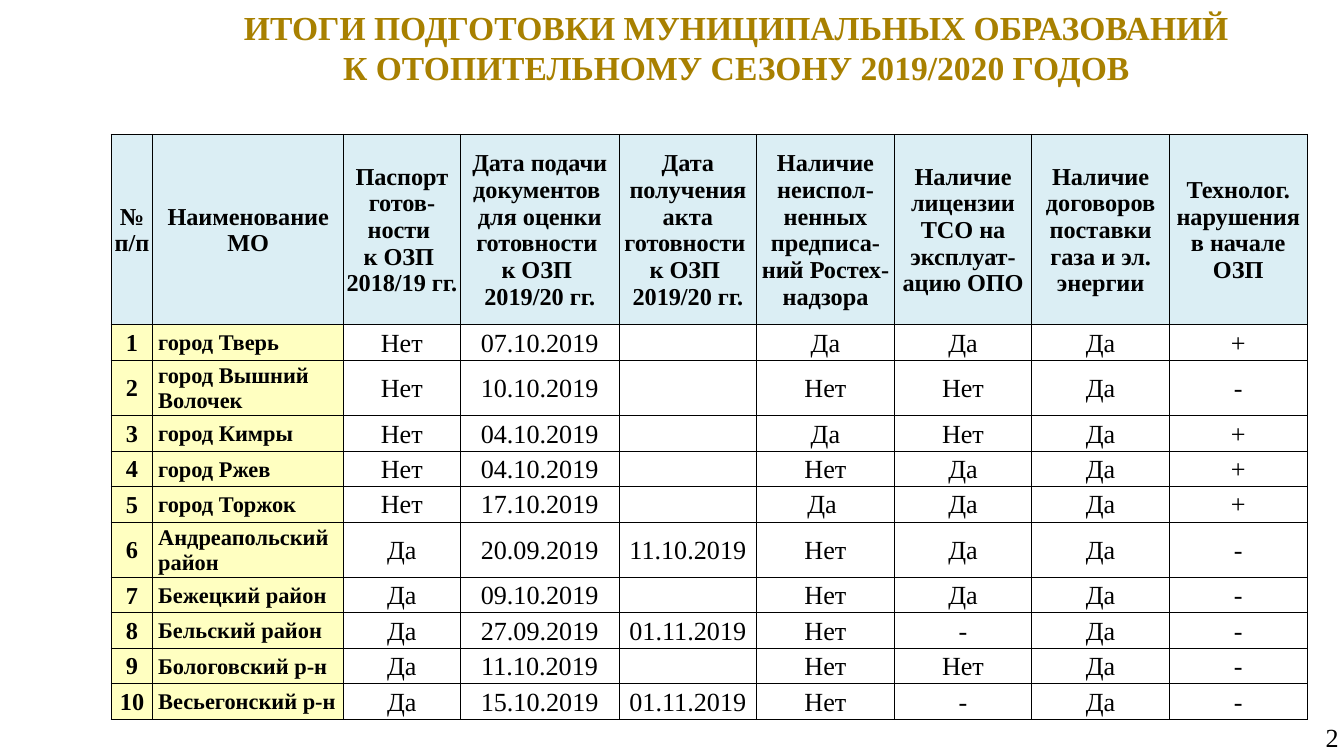
from copy import deepcopy

from lxml import etree
from pptx import Presentation
from pptx import util as u
from pptx.dml.color import RGBColor
from pptx.enum import text as t
from pptx.oxml import ns

FONT = "Times New Roman"
COLOURS = {"title": "A88000", "text": "000000", "header": "DBEEF4", "town": "FFFFC1"}

TITLE = ("ИТОГИ ПОДГОТОВКИ МУНИЦИПАЛЬНЫХ ОБРАЗОВАНИЙ\n"
         "К ОТОПИТЕЛЬНОМУ СЕЗОНУ 2019/2020 ГОДОВ")
PAGE_NUMBER = "2"

# In a heading, \v breaks a line and \n starts a paragraph.
HEADINGS = (
    "№ п/п",
    "Наименование МО",
    "Паспорт готов-ности \vк ОЗП \v2018/19 гг.",
    "Дата подачи документов \vдля оценки готовности \vк ОЗП \v2019/20 гг.",
    "Дата получения акта готовности \nк ОЗП \v2019/20 гг.",
    "Наличие неиспол-ненных предписа-ний Ростех-надзора",
    "Наличие лицензии ТСО на эксплуат-ацию ОПО",
    "Наличие договоров поставки газа и эл. энергии",
    "Технолог. нарушения в начале ОЗП",
)
# Town, passport, application date, act date, orders, licence, contracts, violations
TOWNS = (
    ("город Тверь", "Нет", "07.10.2019", "", "Да", "Да", "Да", "+"),
    ("город Вышний Волочек", "Нет", "10.10.2019", "", "Нет", "Нет", "Да", "-"),
    ("город Кимры", "Нет", "04.10.2019", "", "Да", "Нет", "Да", "+"),
    ("город Ржев", "Нет", "04.10.2019", "", "Нет", "Да", "Да", "+"),
    ("город Торжок", "Нет", "17.10.2019", "", "Да ", "Да", "Да", "+"),
    ("Андреапольский район", "Да", "20.09.2019", "11.10.2019", "Нет", "Да", "Да", "-"),
    ("Бежецкий район", "Да", "09.10.2019", "", "Нет", "Да", "Да", "-"),
    ("Бельский район", "Да", "27.09.2019", "01.11.2019", "Нет", "-", "Да", "-"),
    ("Бологовский р-н", "Да", "11.10.2019", "", "Нет", "Нет", "Да", "-"),
    ("Весьегонский р-н", "Да", "15.10.2019", "01.11.2019", "Нет", "-", "Да", "-"),
)
COLUMN_WIDTHS = [0.79, 3.6, 2.21, 3] + [2.6] * 5
HEADER_HEIGHT, ROW_HEIGHT = 3.6, 0.67


def write(frame, words, size, align, bold=False, colour="text"):
    frame.text = words
    for paragraph in frame.paragraphs:
        paragraph.alignment = align
        for run in paragraph.runs:
            run.font.name = FONT
            run.font.size = u.Pt(size)
            run.font.bold = bold
            run.font.color.rgb = RGBColor.from_string(COLOURS[colour])
        if paragraph.runs:
            for line_break in paragraph._p.findall(ns.qn("a:br")):
                line_break.append(deepcopy(paragraph.runs[0].font._rPr))
        else:  # keeps an empty cell from stretching its row
            etree.SubElement(paragraph._p, ns.qn("a:endParaRPr"), sz=str(size * 100))


def set_margins(part, left, top, right, bottom):
    part.margin_left, part.margin_top = u.Cm(left), u.Cm(top)
    part.margin_right, part.margin_bottom = u.Cm(right), u.Cm(bottom)


def add_borders(cell):
    properties = cell._tc.get_or_add_tcPr()
    for index, side in enumerate(("a:lnL", "a:lnR", "a:lnT", "a:lnB")):
        line = etree.Element(ns.qn(side), w=str(u.Pt(0.5)))
        fill = etree.SubElement(line, ns.qn("a:solidFill"))
        etree.SubElement(fill, ns.qn("a:srgbClr"), val=COLOURS["text"])
        properties.insert(index, line)


def format_cell(cell, words, row, column):
    is_header, is_town = row == 0, row > 0 and column == 1
    is_bold = is_header or column < 2
    size = 12 if is_town else 13 if is_bold else 14
    align = t.PP_ALIGN.LEFT if is_town else t.PP_ALIGN.CENTER
    write(cell.text_frame, words, size, align, is_bold)
    cell.vertical_anchor = t.MSO_ANCHOR.MIDDLE
    set_margins(cell, 0.1 if is_town else 0.03, 0.03, 0.03, 0)
    if is_bold:
        cell.fill.solid()
        cell.fill.fore_color.rgb = RGBColor.from_string(
            COLOURS["header" if is_header else "town"])
    else:
        cell.fill.background()
    add_borders(cell)


def add_readiness_table(slide):
    rows = [HEADINGS] + [(str(n), *town) for n, town in enumerate(TOWNS, 1)]
    heights = [HEADER_HEIGHT] + [ROW_HEIGHT] * len(TOWNS)
    table = slide.shapes.add_table(
        len(rows), len(HEADINGS), u.Cm(2.1), u.Cm(2.54),
        u.Cm(sum(COLUMN_WIDTHS)), u.Cm(sum(heights))).table
    table.first_row = table.horz_banding = False
    for column, width in zip(table.columns, COLUMN_WIDTHS):
        column.width = u.Cm(width)
    for r, (entries, height) in enumerate(zip(rows, heights)):
        table.rows[r].height = u.Cm(height)
        for c, words in enumerate(entries):
            format_cell(table.cell(r, c), words, r, c)


def main():
    deck = Presentation()
    deck.slide_width, deck.slide_height = u.Cm(25.4), u.Cm(14.29)
    slide = deck.slides.add_slide(deck.slide_layouts[5])

    number = slide.shapes.add_textbox(u.Cm(20.65), u.Cm(13.54), u.Cm(4.85), u.Cm(0.64))
    number.text_frame.word_wrap = True
    set_margins(number.text_frame, 0.2, 0.1, 0.2, 0.1)
    write(number.text_frame, PAGE_NUMBER, 14, t.PP_ALIGN.RIGHT)

    title = slide.shapes.title
    title.left, title.top = u.Cm(2.44), u.Cm(0)
    title.width, title.height = u.Cm(22.96), u.Cm(1.8)
    title.text_frame.auto_size = t.MSO_AUTO_SIZE.NONE
    title.text_frame.vertical_anchor = t.MSO_ANCHOR.TOP
    write(title.text_frame, TITLE, 18, t.PP_ALIGN.CENTER, True, "title")

    add_readiness_table(slide)
    deck.save("out.pptx")


if __name__ == "__main__":
    main()
